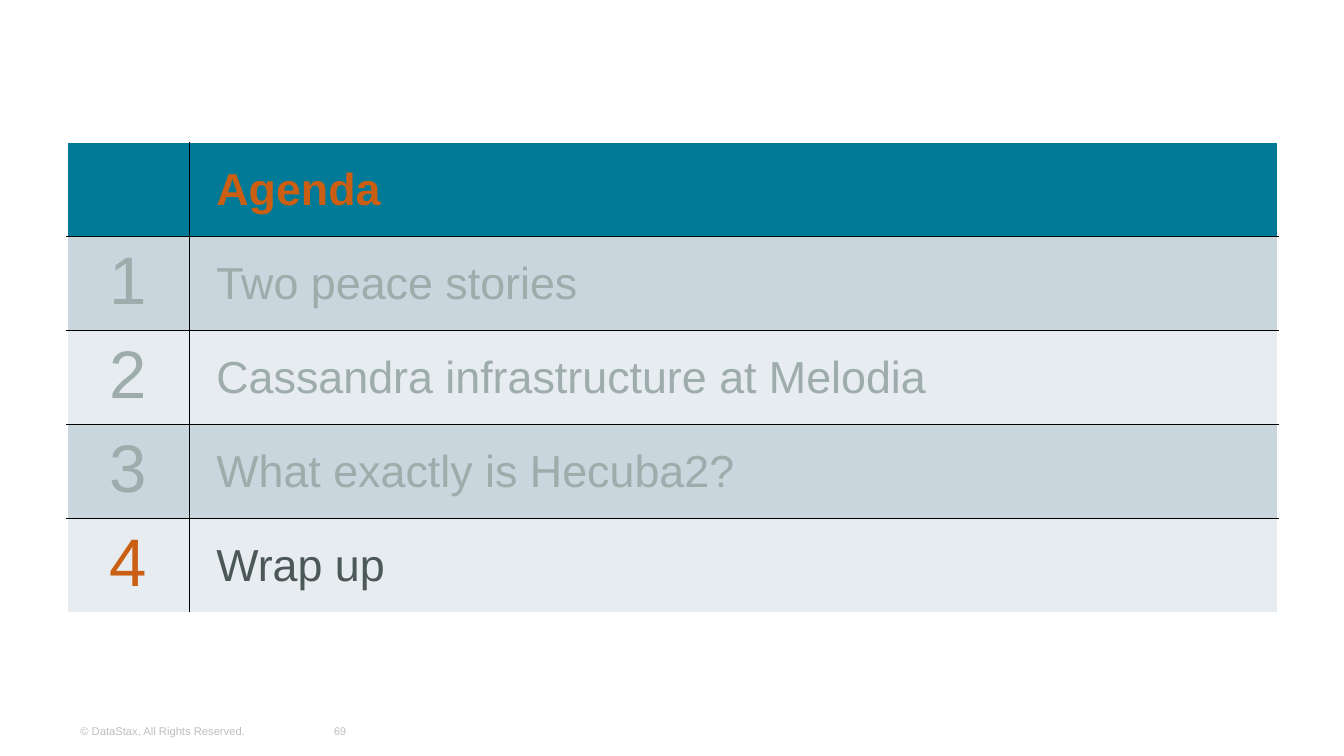
from lxml import etree
from pptx import Presentation, util as u
from pptx.dml.color import RGBColor
from pptx.enum import text
from pptx.oxml import ns


def tint(hue):
    return RGBColor.from_string(hue)


def write(frame, words, size, hue, bold=False, align=text.PP_ALIGN.LEFT):
    par = frame.paragraphs[0]
    par.alignment = align
    run = par.add_run()
    run.text = words
    run.font.name = "Arial"
    run.font.size = u.Pt(size)
    run.font.bold = bold
    run.font.color.rgb = tint(hue)


deck = Presentation()
deck.slide_width = u.Inches(10)
deck.slide_height = deck.slide_width * 9 // 16
slide = deck.slides.add_slide(deck.slide_layouts[6])

TEAL, DARK, PALE = "007A97", "CAD6DD", "E6ECEF"
RUST, GREY, INK, FAINT = "CA5F14", "9EACAB", "4C5858", "BFBFBF"
MID = text.MSO_ANCHOR.MIDDLE
CENTER = text.PP_ALIGN.CENTER

rows = [
    ("", "Agenda", RUST, RUST, TEAL),
    ("1", "Two peace stories", GREY, GREY, DARK),
    ("2", "Cassandra infrastructure at Melodia", GREY, GREY, PALE),
    ("3", "What exactly is Hecuba2?", GREY, GREY, DARK),
    ("4", "Wrap up", RUST, INK, PALE),
]
wide = (0.91, 8.1)
tall = 0.7
last = len(rows) - 1

grid = slide.shapes.add_table(
    len(rows), 2, u.Inches(0.5), u.Inches(1.06),
    u.Inches(sum(wide)), u.Inches(tall * len(rows))).table
for col, span in zip(grid.columns, wide):
    col.width = u.Inches(span)

for r, (num, topic, mark, ink, back) in enumerate(rows):
    grid.rows[r].height = u.Inches(tall)
    for c in range(2):
        cell = grid.cell(r, c)
        edges = {"lnL": c == 0, "lnR": c == 1, "lnT": r == 0, "lnB": r == last}
        props = cell._tc.get_or_add_tcPr()
        for tag, outer in edges.items():
            line = etree.SubElement(props, ns.qn("a:" + tag), w=str(u.Pt(1 if outer else 0.75)))
            fill = etree.SubElement(line, ns.qn("a:solidFill"))
            etree.SubElement(fill, ns.qn("a:srgbClr"), val="FFFFFF" if outer else "000000")
        cell.fill.solid()
        cell.fill.fore_color.rgb = tint(back)

    if num:
        write(grid.cell(r, 0).text_frame, num, 36, mark, align=CENTER)
    cell = grid.cell(r, 1)
    cell.vertical_anchor = MID
    cell.margin_left = u.Inches(0.2)
    write(cell.text_frame, topic, 24, ink, bold=r == 0)

notes = [
    (2.31, 0.44, "69", CENTER),
    (0.5, 1.74, "© DataStax, All Rights Reserved.", text.PP_ALIGN.LEFT),
]
for left, span, words, align in notes:
    box = slide.shapes.add_textbox(
        u.Inches(left), u.Inches(5.29), u.Inches(span), u.Inches(0.3))
    box.text_frame.word_wrap = True
    box.text_frame.vertical_anchor = MID
    write(box.text_frame, words, 6, FAINT, align=align)

deck.save("out.pptx")
